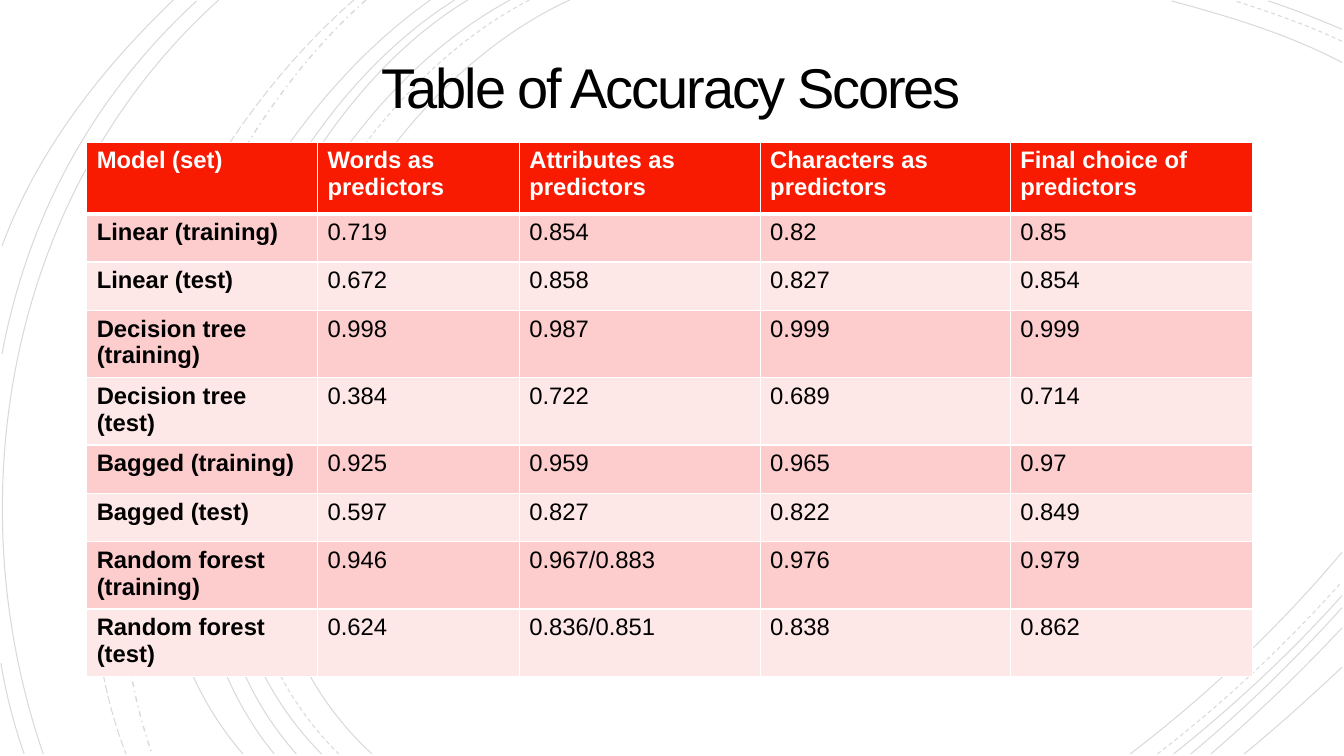
from lxml import etree
from pptx import Presentation
from pptx.dml.color import RGBColor
from pptx.enum.dml import MSO_LINE
from pptx.enum.text import MSO_ANCHOR, PP_ALIGN
from pptx.oxml.ns import qn
from pptx.util import Cm, Pt

SOLID, DASH = MSO_LINE.SOLID, MSO_LINE.DASH
LONG, DOT = MSO_LINE.LONG_DASH, MSO_LINE.DASH_DOT
MIDDLE, CENTER = MSO_ANCHOR.MIDDLE, PP_ALIGN.CENTER

BLACK = RGBColor(0x00, 0x00, 0x00)
WHITE = RGBColor(0xFF, 0xFF, 0xFF)
RED = RGBColor(0xF8, 0x1B, 0x02)
ROSE = RGBColor(0xFC, 0xCD, 0xCC)
BLUSH = RGBColor(0xFE, 0xE8, 0xE7)

TOP, BASE, EDGE = 0, 7.48, 13.31

# Left arcs run from top to base: start x, two control points, end x
LEFT = [
    (5.65, 3.15, 1.15, 1.43, 5.4, 3.69, SOLID),
    (5.25, 2.85, 1.25, 1.23, 5.37, 3.36, DASH),
    (5.06, 2.7, 1.27, 1.1, 5.37, 3.19, SOLID),
    (4.64, 2.44, 1.33, 1.1, 5.41, 2.94, SOLID),
    (4.51, 2.31, 1.38, 0.97, 5.33, 2.72, SOLID),
    (4.27, 2.17, 1.47, 0.53, 5.29, 2.41, SOLID),
    (3.63, 1.76, 1.66, 0.65, 5.09, 1.51, DOT),
    (3.51, 1.57, 1.69, 0.29, 4.99, 1.25, LONG),
    (2.17, 0.11, 1.85, -0.46, 4.9, 0.43, SOLID),
]
# Lower right arcs run from base to edge: start x, two control points, end y
RIGHT = [
    (11.21, 11.97, 6.9, 12.69, 6.22, 5.48, SOLID),
    (11.48, 12.13, 6.98, 12.75, 6.4, 5.77, DASH),
    (11.64, 12.23, 7.01, 12.8, 6.48, 5.91, SOLID),
    (11.81, 12.34, 7.04, 12.84, 6.55, 6.03, SOLID),
    (12.01, 12.46, 7.09, 12.9, 6.67, 6.23, SOLID),
    (12.34, 12.67, 7.21, 12.99, 6.92, 6.62, SOLID),
]
# Short arcs in the corners: four points each
SHORT = [
    ([(EDGE, 0.62), (12.78, 0.34), (12.18, 0.16), (11.62, 0.01)], SOLID),
    ([(EDGE, 0.41), (12.97, 0.25), (12.6, 0.12), (12.25, 0.01)], DASH),
    ([(EDGE, 0.29), (13.07, 0.19), (12.83, 0.09), (12.58, 0.01)], SOLID),
    ([(1.95, 0.01), (0.92, 0.96), (0.28, 2.14), (0.02, 3.51)], SOLID),
    ([(0.01, 6.58), (0.06, 6.89), (0.14, 7.19), (0.24, BASE)], SOLID),
    ([(1.72, 0), (1, 0.69), (0.37, 1.5), (0.02, 2.44)], SOLID),
]

WIDTHS = [2.29, 2, 2.39, 2.48, 2.4]
SCORES = [
    ["Model (set)", "Words as predictors", "Attributes as predictors",
     "Characters as predictors", "Final choice of predictors"],
    ["Linear (training)", "0.719", "0.854", "0.82", "0.85"],
    ["Linear (test)", "0.672", "0.858", "0.827", "0.854"],
    ["Decision tree (training)", "0.998", "0.987", "0.999", "0.999"],
    ["Decision tree (test)", "0.384", "0.722", "0.689", "0.714"],
    ["Bagged (training)", "0.925", "0.959", "0.965", "0.97"],
    ["Bagged (test)", "0.597", "0.827", "0.822", "0.849"],
    ["Random forest (training)", "0.946", "0.967/0.883", "0.976", "0.979"],
    ["Random forest (test)", "0.624", "0.836/0.851", "0.838", "0.862"],
]


def inch(num):
    return Cm(num * 2.54)


class Deck:
    font = "Arial"

    def __init__(self):
        self.prs = Presentation()
        self.prs.slide_width, self.prs.slide_height = inch(13.33), inch(7.5)
        self.slide = self.prs.slides.add_slide(self.prs.slide_layouts[6])
        fill = self.slide.background.fill
        fill.solid()
        fill.fore_color.rgb = WHITE

    def style(self, para, size, color, bold=False):
        for run in para.runs:
            font = run.font
            font.name, font.size, font.bold = self.font, Pt(size), bold
            font.color.rgb = color

    def arc(self, points, dash):
        spots = [(inch(x), inch(y)) for x, y in points]
        pen = self.slide.shapes.build_freeform(*spots[0], scale=1.0)
        pen.add_line_segments(spots[1:], close=False)
        shape = pen.convert_to_shape()
        shape.shadow.inherit = False
        shape.fill.background()
        line = shape.line
        line.color.rgb = BLACK
        line.width = Pt(1 if dash == DOT else 0.75)
        line.dash_style = dash
        tone = shape.element.find(f".//{qn('a:ln')}//{qn('a:srgbClr')}")
        etree.SubElement(tone, qn("a:alpha"), val="15000")
        # Turn the three segments into one Bézier curve
        track = shape.element.find(f".//{qn('a:path')}")
        curve = etree.SubElement(track, qn("a:cubicBezTo"))
        for step in track.findall(qn("a:lnTo")):
            curve.append(step[0])
            track.remove(step)

    def title(self, text, left, top, width, height):
        box = self.slide.shapes.add_textbox(*map(inch, (left, top, width, height)))
        frame = box.text_frame
        frame.word_wrap = True
        frame.vertical_anchor = MIDDLE
        frame.margin_left = frame.margin_right = inch(0.25)
        frame.margin_top = frame.margin_bottom = inch(0.25)
        frame.text = text
        para = frame.paragraphs[0]
        para.alignment, para.line_spacing = CENTER, 0.85
        self.style(para, 40, BLACK)
        para.runs[0].font._element.set("spc", "-150")

    def border(self, cell, side, width):
        props = cell._tc.get_or_add_tcPr()
        line = etree.SubElement(props, qn(f"a:ln{side}"), w=str(Pt(width)))
        fill = etree.SubElement(line, qn("a:solidFill"))
        etree.SubElement(fill, qn("a:srgbClr"), val=str(WHITE))

    def table(self, rows, widths, left, top, height):
        frame = self.slide.shapes.add_table(
            len(rows), len(widths), inch(left), inch(top),
            inch(sum(widths)), inch(height))
        grid = frame.table
        grid.horz_banding = False
        for col, width in zip(grid.columns, widths):
            col.width = inch(width)
        for r, row in enumerate(rows):
            head = r == 0
            grid.rows[r].height = inch(0.71 if head else 0.48)
            for c, text in enumerate(row):
                cell = grid.cell(r, c)
                for side in "LRTB":
                    thick = (r, side) in ((0, "B"), (1, "T"))
                    self.border(cell, side, 3 if thick else 1)
                cell.fill.solid()
                cell.fill.fore_color.rgb = RED if head else ROSE if r % 2 else BLUSH
                cell.text_frame.text = text
                self.style(cell.text_frame.paragraphs[0], 17,
                           WHITE if head else BLACK, head or c == 0)
        frame.height = inch(height)


def main():
    deck = Deck()
    # Background arcs
    for x, ax, ay, bx, by, end, dash in LEFT:
        deck.arc([(x, TOP), (ax, ay), (bx, by), (end, BASE)], dash)
    for x, ax, ay, bx, by, end, dash in RIGHT:
        deck.arc([(x, BASE), (ax, ay), (bx, by), (EDGE, end)], dash)
    for points, dash in SHORT:
        deck.arc(points, dash)
    # Title and scores
    deck.title("Table of Accuracy Scores", 1.91, 0.33, 9.49, 1.15)
    deck.table(SCORES, WIDTHS, 0.86, 1.41, 5.27)
    deck.prs.save("out.pptx")


if __name__ == "__main__":
    main()
